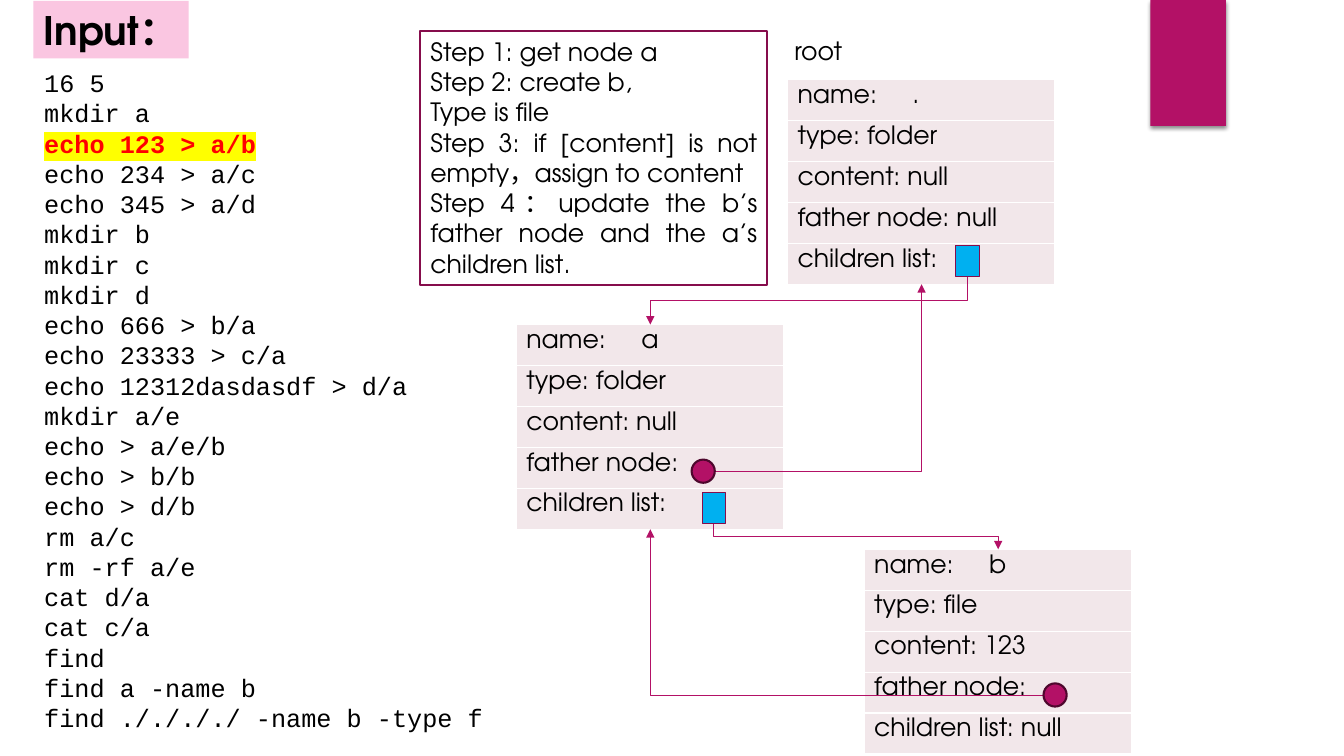
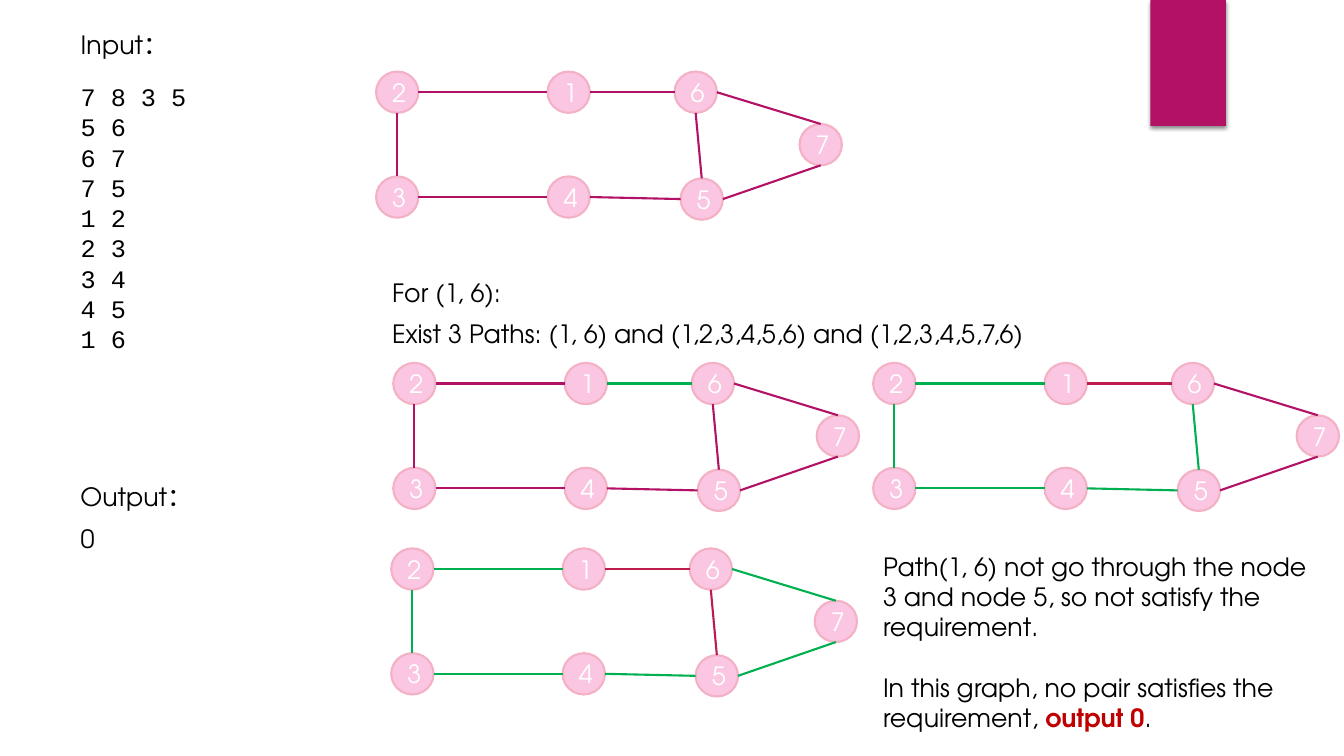
from typing import NamedTuple, Optional

from lxml.etree import SubElement, Element
from pptx import Presentation
from pptx.dml.color import RGBColor
from pptx.enum.shapes import MSO_CONNECTOR as Link, MSO_SHAPE as Kind
from pptx.enum.text import MSO_ANCHOR as Anchor, MSO_AUTO_SIZE as Fit, PP_ALIGN as Align
from pptx.oxml.ns import qn
from pptx.util import Inches, Pt

SANS, MONO = "TeX Gyre Adventor", "Courier New"
BLACK, WHITE, ROSE, PINK = "000000", "FFFFFF", "B31166", "FAC6E1"
PLUM, BLUSH, SKY, GREEN, RED = "860D4C", "F2E7EA", "00B0F0", "00B050", "BD1B4C"
LEAD = 21.6


class Box(NamedTuple):
    """Left, top, width and height in inches."""
    x: float
    y: float
    w: float
    h: float

    def emu(self) -> list:
        """Return the four lengths."""
        return [Inches(n) for n in self]


class Card(NamedTuple):
    """One file-system node, shown as a table."""
    x: float
    y: float
    rows: tuple


class Wire(NamedTuple):
    """An arrow with bends; drop means it leaves vertically."""
    start: tuple
    end: tuple
    drop: bool


class Mark(NamedTuple):
    """A small filled marker beside a card row."""
    kind: Kind
    box: Box
    fill: str
    line: str
    width: float


class Edge(NamedTuple):
    """A graph edge with the side it touches on each node."""
    a: int
    out: str
    b: int
    into: str


class Graph(NamedTuple):
    """Place of a graph and its coloured edges."""
    x: float
    y: float
    green: tuple = ()
    red: tuple = ()


CODE = """16 5
mkdir a
echo 123 > a/b
echo 234 > a/c
echo 345 > a/d
mkdir b
mkdir c
mkdir d
echo 666 > b/a
echo 23333 > c/a
echo 12312dasdasdf > d/a
mkdir a/e
echo > a/e/b
echo > b/b
echo > d/b
rm a/c
rm -rf a/e
cat d/a
cat c/a
find
find a -name b
find ././././ -name b -type f"""
STEPS = """Step 1: get node a
Step 2: create b,
Type is file
Step 3: if [content] is not empty，assign to content
Step 4：update the b’s father node and the a’s children list."""
DATA = "7 8 3 5\n5 6\n6 7\n7 5\n1 2\n2 3\n3 4\n4 5\n1 6"
CARDS = (
    Card(7.81, 0.79, ("name:\t.", "type: folder", "content: null", "father node: null", "children list:")),
    Card(5.12, 3.22, ("name:\ta", "type: folder", "content: null", "father node:", "children list:")),
    Card(8.57, 5.45, ("name:\tb", "type: file", "content: 123", "father node:", "children list: null")),
)
WIRES = (
    Wire((7.09, 4.68), (9.14, 2.82), False),
    Wire((9.6, 2.75), (6.45, 3.22), True),
    Wire((10.35, 6.9), (6.45, 5.25), False),
    Wire((7.08, 5.19), (9.9, 5.45), True),
)
MARKS = (
    Mark(Kind.RECTANGLE, Box(9.48, 2.44, 0.24, 0.3), SKY, PLUM, 0.75),
    Mark(Kind.RECTANGLE, Box(6.97, 4.89, 0.23, 0.3), SKY, PLUM, 0.75),
    Mark(Kind.OVAL, Box(6.86, 4.56, 0.23, 0.23), ROSE, "4E072D", 1.5),
    Mark(Kind.OVAL, Box(10.35, 6.78, 0.23, 0.23), ROSE, "4E072D", 1.5),
)
NODES = {1: (1.7, 0), 2: (0, 0), 3: (0, 1.04), 4: (1.7, 1.04),
         5: (3.02, 1.06), 6: (2.96, 0), 7: (4.2, 0.52)}
NODE_W, NODE_H = 0.42, 0.41
SIDES = {"top": (0.5, 0), "left": (0, 0.5), "bottom": (0.5, 1), "right": (1, 0.5)}
EDGES = (
    Edge(1, "left", 2, "right"), Edge(2, "bottom", 3, "top"),
    Edge(3, "right", 4, "left"), Edge(4, "right", 5, "left"),
    Edge(5, "top", 6, "bottom"), Edge(5, "right", 7, "bottom"),
    Edge(6, "right", 7, "top"), Edge(1, "right", 6, "left"),
)
GRAPHS = (
    Graph(3.73, 0.71),
    Graph(3.9, 3.6, green=((1, 6),)),
    Graph(8.66, 3.6, ((1, 2), (2, 3), (3, 4), (4, 5), (5, 6)), ((1, 6),)),
    Graph(3.88, 5.44, ((1, 2), (2, 3), (3, 4), (4, 5), (5, 7), (6, 7)), ((1, 6), (5, 6))),
)


def paint(form, tone: str) -> None:
    """Give a fill or a font a solid colour."""
    if hasattr(form, "solid"):
        form.solid()
        form.fore_color.rgb = RGBColor.from_string(tone)
    else:
        form.color.rgb = RGBColor.from_string(tone)


def write(frame, text: str, tone: str = BLACK, face: str = SANS, size: float = 18,
          align: Align = Align.LEFT, lead: Optional[float] = None) -> None:
    """Fill a text frame and style every run."""
    frame.text = text
    for para in frame.paragraphs:
        para.alignment = align
        if lead:
            para.line_spacing = Pt(lead)
        for run in para.runs:
            style(run, tone, face, size)


def style(run, tone: str, face: str = SANS, size: float = 18, bold: bool = False) -> None:
    """Set the font of one run."""
    font = run.font
    font.name, font.size, font.bold = face, Pt(size), bold
    paint(font, tone)


def shape(slide, kind: Kind, box: Box, fill: Optional[str] = None,
          line: Optional[str] = None, width: float = 1):
    """Add a flat preset shape."""
    item = slide.shapes.add_shape(kind, *box.emu())
    item.shadow.inherit = False
    if fill:
        paint(item.fill, fill)
    else:
        item.fill.background()
    if line:
        paint(item.line, line)
        item.line.width = Pt(width)
    else:
        item.line.fill.background()
    return item


def label(slide, box: Box, text: str, wrap: bool = True, **look):
    """Add a text box and return its frame."""
    frame = slide.shapes.add_textbox(*box.emu()).text_frame
    frame.word_wrap = wrap
    write(frame, text, **look)
    return frame


def band(slide) -> None:
    """Draw the shaded band at the top right."""
    item = shape(slide, Kind.RECTANGLE, Box(11.41, 0, 0.75, 1.25), ROSE)
    glow = SubElement(item.element.spPr.find(qn("a:effectLst")), qn("a:outerShdw"),
                      blurRad=str(Pt(3)), dist=str(Pt(2)), dir="5400000", rotWithShape="0")
    tone = SubElement(glow, qn("a:srgbClr"), val=BLACK)
    SubElement(tone, qn("a:alpha"), val="45000")


def start(deck, box: Box, title: str, size: float, bold: bool):
    """Add a slide with its title and band."""
    slide = deck.slides.add_slide(deck.slide_layouts[5])
    head = slide.shapes.title
    head.left, head.top, head.width, head.height = box.emu()
    frame = head.text_frame
    frame.word_wrap, frame.auto_size = False, Fit.NONE
    frame.vertical_anchor = Anchor.TOP
    frame.margin_right = 0
    write(frame, title, size=size)
    frame.paragraphs[0].runs[0].font.bold = bold
    band(slide)
    return slide


def line(slide, kind: Link, a: tuple, b: tuple, tone: str, width: float):
    """Add a flat connector between two points."""
    item = slide.shapes.add_connector(kind, *[Inches(n) for n in (*a, *b)])
    paint(item.line, tone)
    item.line.width = Pt(width)
    SubElement(item.element.spPr, qn("a:effectLst"))
    return item


def bend(slide, wire: Wire) -> None:
    """Draw an arrow with one or two bends."""
    (x, y), (u, v) = wire.start, wire.end
    if wire.drop:
        mid, half, reach = (x + u) / 2, (v - y) / 2, abs(u - x) / 2
        near, far = (mid - half, mid + half) if u < x else (mid + half, mid - half)
        a, b = (near, (y + v) / 2 - reach), (far, (y + v) / 2 + reach)
        turn = 90 if u < x else 270
    else:
        a, b, turn = (wire.start, wire.end, 0) if u > x else (wire.end, wire.start, 180)
    item = line(slide, Link.ELBOW, a, b, ROSE, 0.75)
    props = item.element.spPr
    props.find(qn("a:xfrm")).set("rot", str(turn * 60000))
    if not wire.drop:
        props.find(qn("a:prstGeom")).set("prst", "bentConnector2")
    SubElement(props.find(qn("a:ln")), qn("a:tailEnd"), type="triangle")


def card(slide, data: Card) -> None:
    """Draw one node record as a table."""
    box = Box(data.x, data.y, 2.65, 2.03)
    grid = slide.shapes.add_table(len(data.rows), 1, *box.emu()).table
    grid.first_row = grid.horz_banding = False
    for row, text in enumerate(data.rows):
        cell = grid.cell(row, 0)
        para = cell.text_frame.paragraphs[0]
        if "\t" in text:
            tabs = SubElement(para._p.get_or_add_pPr(), qn("a:tabLst"))
            SubElement(tabs, qn("a:tab"), pos=str(Inches(1.14)), algn="l")
        para.text = text
        style(para.runs[0], BLACK)
        paint(cell.fill, BLUSH)
        props = cell._tc.get_or_add_tcPr()
        for spot, side in enumerate("LRTB"):
            edge = Element(qn(f"a:ln{side}"), w=str(Pt(1)))
            SubElement(SubElement(edge, qn("a:solidFill")), qn("a:srgbClr"), val=WHITE)
            props.insert(spot, edge)


def graph(slide, data: Graph) -> None:
    """Draw the seven nodes and the edges between them."""
    def port(node: int, side: str) -> tuple:
        """Find the middle of a node's side."""
        (x, y), (u, v) = NODES[node], SIDES[side]
        return data.x + x + u * NODE_W, data.y + y + v * NODE_H

    for num, (x, y) in NODES.items():
        dot = shape(slide, Kind.OVAL, Box(data.x + x, data.y + y, NODE_W, NODE_H), PINK, "F4B1C5", 1.5)
        write(dot.text_frame, str(num), WHITE, align=Align.CENTER)
    for edge in EDGES:
        pair = (edge.a, edge.b)
        tone = GREEN if pair in data.green else RED if pair in data.red else ROSE
        line(slide, Link.STRAIGHT, port(edge.a, edge.out), port(edge.b, edge.into), tone, 1.5)


def tree(deck) -> None:
    """Build the slide on the directory tree."""
    slide = start(deck, Box(0.33, 0.01, 1.54, 0.57), "Input：", 28, True)
    paint(slide.shapes.title.fill, PINK)
    code = label(slide, Box(0.34, 0.62, 5.41, 6.76), CODE, face=MONO, lead=LEAD)
    run = code.paragraphs[2].runs[0]
    style(run, "FF0000", MONO, bold=True)
    glow = Element(qn("a:highlight"))
    SubElement(glow, qn("a:srgbClr"), val="FFFF00")
    run.font._element.find(qn("a:solidFill")).addnext(glow)
    label(slide, Box(7.78, 0.3, 0.69, 0.4), "root", wrap=False)
    steps = shape(slide, Kind.RECTANGLE, Box(4.17, 0.31, 3.44, 2.52), None, PLUM, 1.5)
    steps.text_frame.vertical_anchor = Anchor.TOP
    write(steps.text_frame, STEPS, align=Align.JUSTIFY)
    for data in CARDS:
        card(slide, data)
    for wire in WIRES:
        bend(slide, wire)
    for mark in MARKS:
        shape(slide, *mark)


def paths(deck) -> None:
    """Build the slide on the graph paths."""
    slide = start(deck, Box(0.7, 0.24, 1.07, 0.4), "Input：", 18, False)
    label(slide, Box(0.7, 0.76, 1.32, 2.83), DATA, face=MONO, lead=LEAD)
    label(slide, Box(0.7, 4.73, 1.33, 0.4), "Output：", wrap=False).margin_right = 0
    label(slide, Box(0.7, 5.14, 0.35, 0.4), "0", wrap=False)
    label(slide, Box(3.79, 2.7, 2.01, 0.4), "For (1, 6):")
    label(slide, Box(3.79, 3.11, 7.62, 0.4), "Exist 3 Paths: (1, 6) and (1,2,3,4,5,6) and (1,2,3,4,5,7,6)")
    for data in GRAPHS:
        graph(slide, data)
    note = label(slide, Box(8.66, 5.42, 4.52, 1.92),
                 "Path(1, 6) not go through the node 3 and node 5, so not satisfy the requirement.\n"
                 "In this graph, no pair satisfies the requirement, ")
    last = note.paragraphs[1]
    last.space_before = Pt(LEAD)
    for text, tone, bold in (("output 0", "C00000", True), (".", BLACK, False)):
        run = last.add_run()
        run.text = text
        style(run, tone, bold=bold)


def main() -> None:
    """Build and save the deck."""
    deck = Presentation()
    deck.slide_width, deck.slide_height = Inches(13.33), Inches(7.5)
    tree(deck)
    paths(deck)
    deck.save("out.pptx")


if __name__ == "__main__":
    main()
